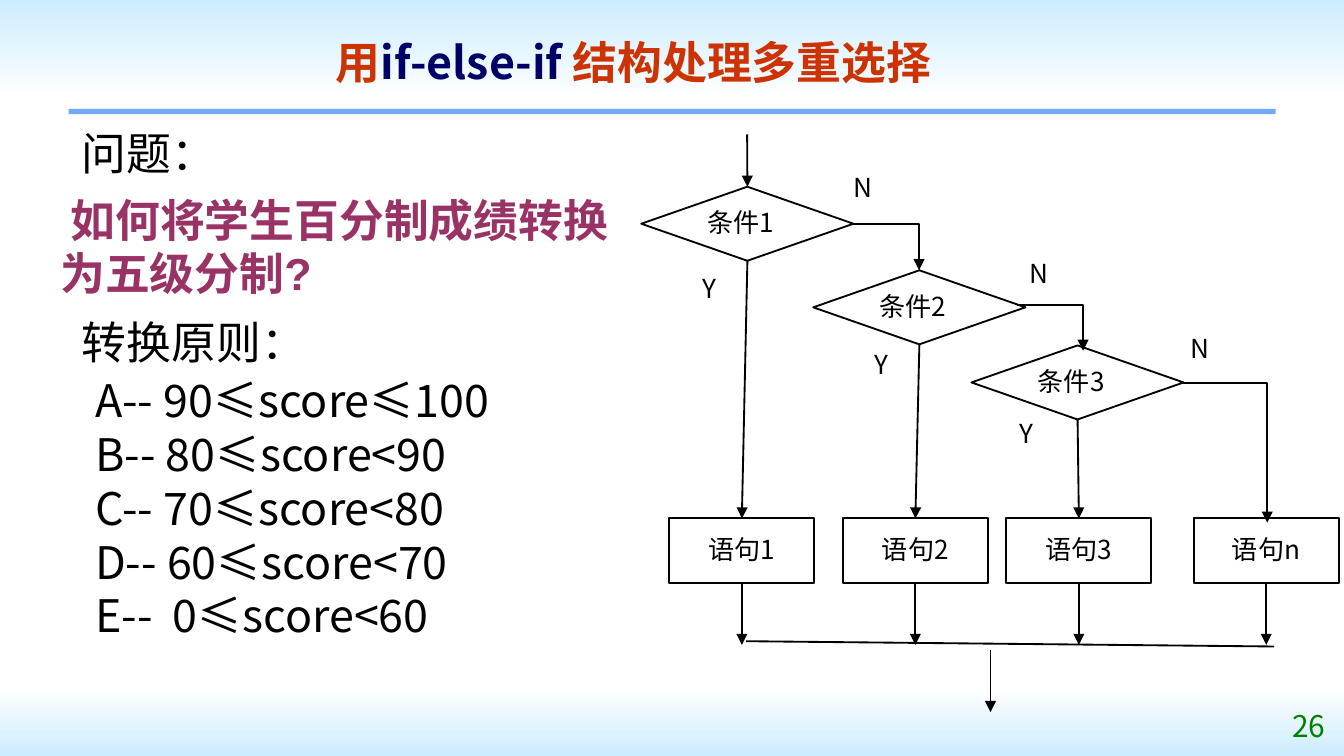
import lxml.etree
import pptx
import pptx.dml.color
import pptx.enum.shapes
import pptx.enum.text
import pptx.oxml.ns
import pptx.util

Cm = pptx.util.Cm
Pt = pptx.util.Pt
RGBColor = pptx.dml.color.RGBColor
SHAPE = pptx.enum.shapes.MSO_SHAPE
LINK = pptx.enum.shapes.MSO_CONNECTOR
ALIGN = pptx.enum.text.PP_ALIGN
ANCHOR = pptx.enum.text.MSO_ANCHOR
qn = pptx.oxml.ns.qn

BLACK = RGBColor(0x00, 0x00, 0x00)
WHITE = RGBColor(0xFF, 0xFF, 0xFF)
SKY = RGBColor(0xCC, 0xEC, 0xFF)
BLUE = RGBColor(0x70, 0xAA, 0xFF)
NAVY = RGBColor(0x00, 0x00, 0x66)
RED = RGBColor(0xCC, 0x33, 0x00)
PLUM = RGBColor(0x99, 0x33, 0x66)
GREEN = RGBColor(0x00, 0x80, 0x00)
SANS = "Noto Sans CJK SC"
TOP, BOTTOM = 0, 2


def style(run, size, color=BLACK, bold=False, face=SANS):
    font = run.font
    font.size = Pt(size)
    font.bold = bold
    font.color.rgb = color
    font.name = face
    east = lxml.etree.SubElement(run._r.get_or_add_rPr(), qn("a:ea"))
    east.set("typeface", SANS)


def add_text(slide, box, text, size=24, color=BLACK, bold=False, face=SANS,
             align=ALIGN.LEFT, pitch=None):
    frame = slide.shapes.add_textbox(*map(Cm, box)).text_frame
    frame.word_wrap = True
    frame.text = text
    for para in frame.paragraphs:
        para.alignment = align
        para.line_spacing = pitch or Pt(1.2 * size)
        for run in para.runs:
            style(run, size, color, bold, face)
    return frame


def add_title(slide):
    frame = add_text(slide, (6.1, 0.53, 13.92, 1.3), "用", color=RED, bold=True)
    for text, color in (("if-else-if ", NAVY), ("结构处理多重选择", RED)):
        run = frame.paragraphs[0].add_run()
        run.text = text
        style(run, 24, color, True)


def add_band(slide, box, first, last):
    band = slide.shapes.add_shape(SHAPE.RECTANGLE, *map(Cm, box))
    band.shadow.inherit = False
    band.line.fill.background()
    if first == last:
        band.fill.solid()
        band.fill.fore_color.rgb = first
        return
    band.fill.gradient()
    band.fill.gradient_angle = 270
    for stop, color in zip(band.fill.gradient_stops, (first, last)):
        stop.color.rgb = color


def add_node(slide, kind, box, text, align):
    node = slide.shapes.add_shape(kind, *map(Cm, box))
    node.shadow.inherit = False
    node.fill.background()
    node.line.color.rgb = BLACK
    node.line.width = Pt(1)
    frame = node.text_frame
    frame.vertical_anchor = ANCHOR.MIDDLE
    frame.text = text
    para = frame.paragraphs[0]
    para.alignment = align
    para.line_spacing = 0.95
    style(para.runs[0], 14)
    return node


def add_line(slide, start, end, head=True, bent=False):
    kind = LINK.ELBOW if bent else LINK.STRAIGHT
    line = slide.shapes.add_connector(kind, *map(Cm, start + end))
    line.line.color.rgb = BLACK
    line.line.width = Pt(1)
    props = line._element.spPr
    if bent:
        props.find(qn("a:prstGeom")).set("prst", "bentConnector2")
    if head:
        tip = lxml.etree.SubElement(line.line._get_or_add_ln(), qn("a:tailEnd"))
        tip.set("type", "triangle")
    lxml.etree.SubElement(props, qn("a:effectLst"))
    return line


def add_chart_flow(slide):
    spots = ((12.12, 3.53), (15.37, 5.11), (18.36, 6.53))
    tests = [add_node(slide, SHAPE.FLOWCHART_DECISION, (x, y, 4.01, 1.4),
                      f"条件{i}", ALIGN.LEFT)
             for i, (x, y) in enumerate(spots, 1)]
    lefts = (12.65, 15.93, 19.02, 22.56)
    steps = [add_node(slide, SHAPE.FLOWCHART_PROCESS, (x, 9.8, 2.74, 1.22),
                      f"语句{mark}", ALIGN.CENTER)
             for x, mark in zip(lefts, "123n")]

    entry = add_line(slide, (14.12, 2.54), (14.12, 3.53))
    entry.end_connect(tests[0], TOP)
    for start, end in (((16.1, 4.24), (17.37, 5.11)),
                       ((19.23, 5.77), (20.47, 6.63)),
                       ((22.3, 7.24), (23.95, 9.88))):
        add_line(slide, start, end, bent=True)
    for (x, y), left, test, step in zip(spots, lefts, tests, steps):
        yes = add_line(slide, (x + 2, y + 1.4), (left + 1.37, 9.8))
        yes.begin_connect(test, BOTTOM)
        yes.end_connect(step, TOP)
    for left, step in zip(lefts, steps):
        mid = left + 1.37
        out = add_line(slide, (mid, 11.02), (mid, 12.19))
        out.begin_connect(step, BOTTOM)
    add_line(slide, (14.1, 12.12), (24.08, 12.22), head=False)
    add_line(slide, (18.72, 12.29), (18.72, 13.46))

    for mark, x, y in (("Y", 13.03, 5.13), ("Y", 16.28, 6.58), ("Y", 19.02, 7.87),
                       ("N", 15.88, 3.23), ("N", 19.2, 4.85), ("N", 22.25, 6.27)):
        add_text(slide, (x, y, 1.5, 0.84), mark, size=14, pitch=0.8)


def main():
    deck = pptx.Presentation()
    deck.slide_width = Cm(25.4)
    deck.slide_height = Cm(14.29)
    slide = deck.slides.add_slide(deck.slide_layouts[6])

    add_band(slide, (0, 0, 25.4, 1.88), SKY, WHITE)
    add_band(slide, (0, 13, 25.4, 1.29), WHITE, SKY)
    add_band(slide, (1.3, 2.06, 22.81, 0.1), BLUE, BLUE)
    add_text(slide, (23.42, 13.26, 1.88, 0.69), "26", size=16, color=GREEN,
             align=ALIGN.RIGHT)
    add_text(slide, (1.3, 2.26, 3.2, 1.52), "问题：")
    add_text(slide, (0.89, 3.51, 11, 2.31), " 如何将学生百分制成绩转换为五级分制?",
             color=PLUM, bold=True, face="Arial")
    add_text(slide, (1.3, 5.82, 5.08, 1.52), "转换原则：")
    grades = ("A-- 90≤score≤100", "B-- 80≤score<90", "C-- 70≤score<80",
              "D-- 60≤score<70", "E--  0≤score<60")
    add_text(slide, (1.55, 6.93, 8.41, 5.59), "\n".join(grades))
    add_chart_flow(slide)
    add_title(slide)
    deck.save("out.pptx")


if __name__ == "__main__":
    main()
